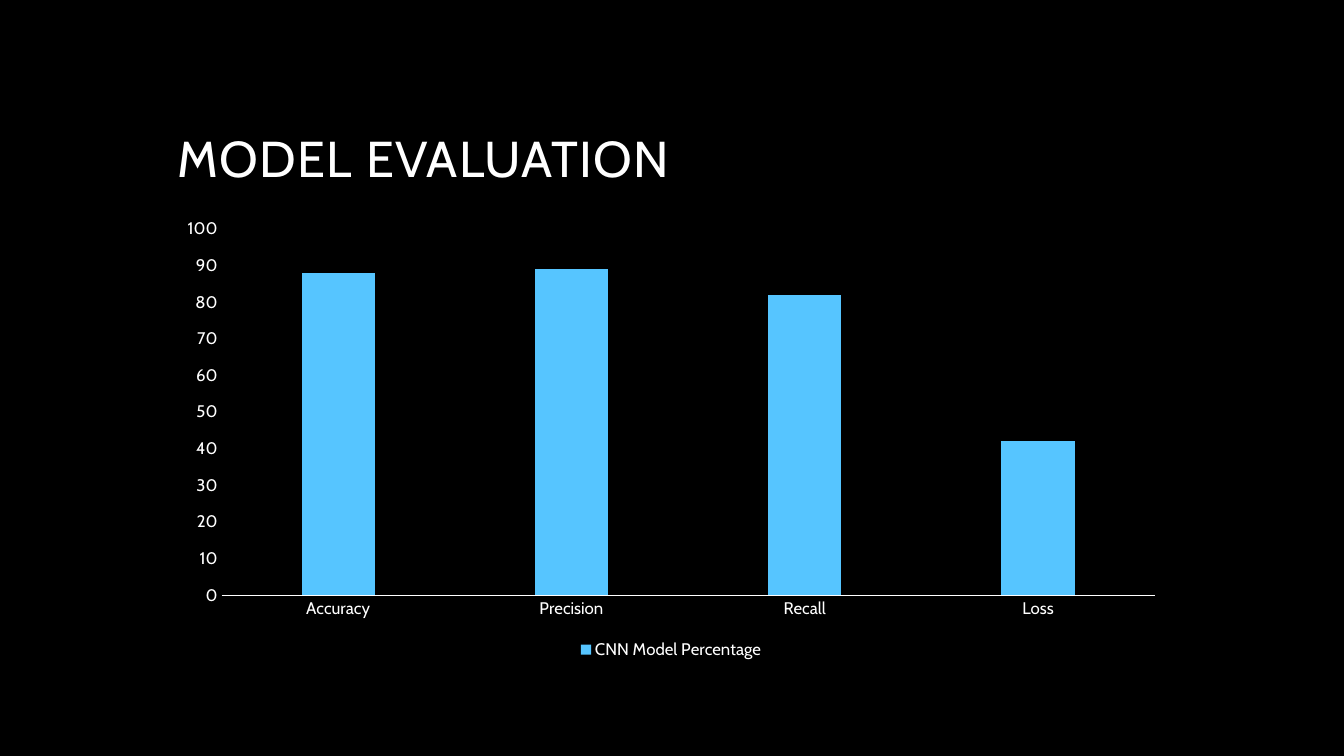
from typing import NamedTuple

from pptx import Presentation
from pptx.chart.data import CategoryChartData
from pptx.dml.color import RGBColor
from pptx.enum import chart as charts, text
from pptx.oxml import parse_xml
from pptx.oxml.ns import nsdecls
from pptx.util import Pt

FONT = "Cabin"
WHITE = "FFFFFF"
BLACK = "000000"
LEFT = Pt(119.6)


class Series(NamedTuple):
    name: str
    values: list[int | None]
    fill: str
    in_legend: bool


CATEGORIES = ["Accuracy", "Precision", "Recall", "Loss"]
EMPTY = [None] * len(CATEGORIES)
SERIES = [
    Series("CNN Model Percentage", [88, 89, 82, 42], "56C5FF", True),
    Series("Series 2", EMPTY, "4BB836", False),
    Series("Series 3", EMPTY, "F8B004", False),
]


def color(value: str) -> RGBColor:
    return RGBColor.from_string(value)


def style_font(font, size: float) -> None:
    font.name = FONT
    font.size = Pt(size)
    font.bold = False
    font.color.rgb = color(WHITE)


def add_title(slide, wording: str) -> None:
    title = slide.shapes.title
    title.left, title.top, title.width, title.height = LEFT, Pt(30), Pt(720), Pt(108)
    frame = title.text_frame
    frame.text = wording
    frame.word_wrap = True
    frame.auto_size = text.MSO_AUTO_SIZE.NONE
    frame.vertical_anchor = text.MSO_ANCHOR.BOTTOM
    paragraph = frame.paragraphs[0]
    paragraph.alignment = text.PP_ALIGN.LEFT
    paragraph.line_spacing = 0.9
    style_font(paragraph.font, 36)
    paragraph.runs[0].font._element.set("spc", "100")


def hide_legend_entry(legend, index: int) -> None:
    entry = parse_xml(
        f'<c:legendEntry {nsdecls("c")}><c:idx val="{index}"/><c:delete val="1"/></c:legendEntry>'
    )
    previous = legend._element.findall("{*}legendEntry") or legend._element.findall("{*}legendPos")
    previous[-1].addnext(entry)


def add_metrics_chart(slide, series_list: list[Series]) -> None:
    data = CategoryChartData()
    data.categories = CATEGORIES
    for series in series_list:
        data.add_series(series.name, series.values)
    chart = slide.shapes.add_chart(
        charts.XL_CHART_TYPE.COLUMN_STACKED, LEFT, Pt(150), Pt(719.6), Pt(324), data
    ).chart
    style_font(chart.font, 10)
    chart.has_title = False

    plot = chart.plots[0]
    plot.gap_width = 219
    plot.overlap = 100
    plot.vary_by_categories = False

    for axis in (chart.category_axis, chart.value_axis):
        axis.has_major_gridlines = False
        axis.major_tick_mark = charts.XL_TICK_MARK.NONE
        axis.minor_tick_mark = charts.XL_TICK_MARK.NONE
        style_font(axis.tick_labels.font, 12)
    category_line = chart.category_axis.format.line
    category_line.color.rgb = color(WHITE)
    category_line.width = Pt(0.75)
    chart.value_axis.format.line.fill.background()
    chart.value_axis.minimum_scale = 0
    chart.value_axis.maximum_scale = 100
    chart.value_axis.major_unit = 10

    chart.has_legend = True
    chart.legend.position = charts.XL_LEGEND_POSITION.BOTTOM
    chart.legend.include_in_layout = False
    style_font(chart.legend.font, 12)

    for index, (series, columns) in enumerate(zip(series_list, plot.series)):
        columns.format.fill.solid()
        columns.format.fill.fore_color.rgb = color(series.fill)
        if not series.in_legend:
            hide_legend_entry(chart.legend, index)


def main() -> None:
    presentation = Presentation()
    presentation.slide_width, presentation.slide_height = Pt(960), Pt(540)
    slide = presentation.slides.add_slide(presentation.slide_layouts.get_by_name("Title Only"))
    slide.background.fill.solid()
    slide.background.fill.fore_color.rgb = color(BLACK)
    add_title(slide, "MODEL EVALUATION")
    add_metrics_chart(slide, SERIES)
    presentation.save("out.pptx")


if __name__ == "__main__":
    main()
